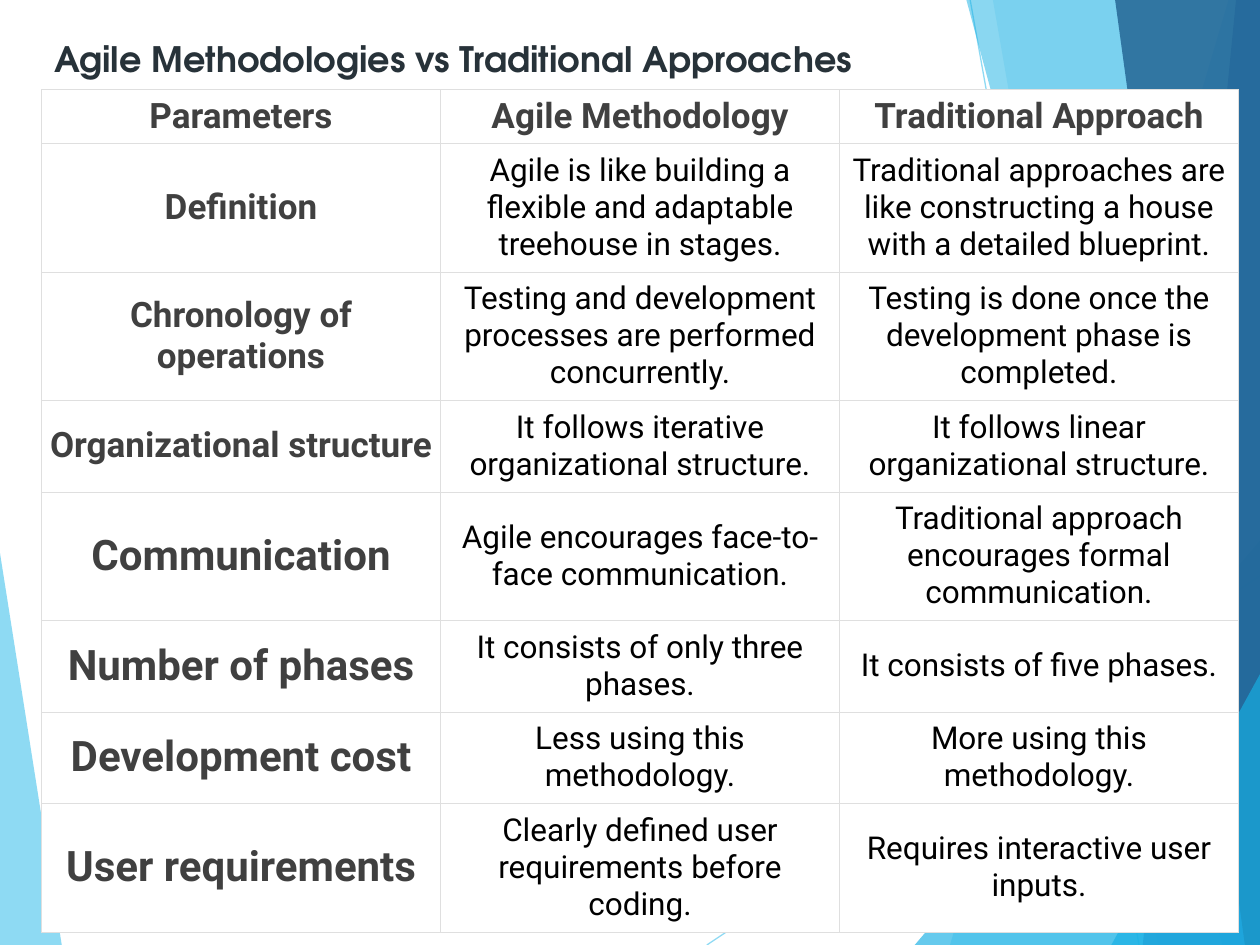
from lxml import etree
from pptx import Presentation
from pptx.dml.color import RGBColor
from pptx.enum.shapes import MSO_CONNECTOR
from pptx.enum.text import MSO_ANCHOR, PP_ALIGN
from pptx.oxml.ns import qn
from pptx.util import Inches, Pt

LINE = MSO_CONNECTOR.STRAIGHT
MIDDLE = MSO_ANCHOR.MIDDLE
TOP = MSO_ANCHOR.TOP
LEFT = PP_ALIGN.LEFT
CENTER = PP_ALIGN.CENTER

COLORS = {
    "sky": "5FCBEF", "cyan": "17B0E4", "blue": "2E83C3", "navy": "226292",
    "white": "FFFFFF", "rule": "DFDFDF", "title": "273239",
    "label": "404040", "body": "000000",
}

# Colour, opacity in percent, corner points in inches
LEFT_FACET = ("sky", 70, [(0, 4.39), (0.49, 7.5), (0, 7.5)])
RIGHT_FACETS = [
    ("sky", 36, [(9.75, 0), (7.54, 7.5), (10, 7.5), (10, 0)]),
    ("sky", 20, [(7.88, 0), (9.19, 7.5), (10, 7.5), (10, 0)]),
    ("cyan", 66, [(7.26, 7.5), (10, 4.29), (10, 7.5)]),
    ("cyan", 50, [(7.67, 0), (9.7, 7.5), (10, 7.5), (10, 0)]),
    ("blue", 70, [(9.81, 0), (9.07, 7.5), (10, 7.5), (10, 0)]),
    ("navy", 82, [(8.85, 0), (9.88, 7.5), (10, 7.5), (10, 0)]),
    ("cyan", 66, [(8.82, 7.5), (10, 5.35), (10, 7.5)]),
]
RAYS = [((5.61, 7.5), (10, 4.57)), ((7.7, 0), (9.04, 7.5))]

HEADS = ["Parameters", "Agile Methodology", "Traditional Approach"]
# Row height, label size, label, agile text, traditional text
ROWS = [
    (0.99, 20, "Definition",
     "Agile is like building a flexible and adaptable treehouse in stages.",
     "Traditional approaches are like constructing a house with a detailed blueprint."),
    (0.99, 20, "Chronology of operations",
     "Testing and development processes are performed concurrently.",
     "Testing is done once the development phase is completed."),
    (0.71, 20, "Organizational structure",
     "It follows iterative organizational structure.",
     "It follows linear organizational structure."),
    (0.99, 24, "Communication",
     "Agile encourages face-to-face communication.",
     "Traditional approach encourages formal communication."),
    (0.71, 24, "Number of phases",
     "It consists of only three phases.",
     "It consists of five phases."),
    (0.71, 24, "Development cost",
     "Less using this methodology.",
     "More using this methodology."),
    (0.99, 24, "User requirements",
     "Clearly defined user requirements before coding.",
     "Requires interactive user inputs."),
]


def color(name):
    return RGBColor.from_string(COLORS[name])


def fade(shape, percent):
    """Set the opacity of the shape's own colours."""
    for node in shape.element.iter(qn("a:srgbClr")):
        etree.SubElement(node, qn("a:alpha"), val=str(percent * 1000))


def write(frame, text, size=18, tint="body", bold=False, font="Roboto", align=CENTER):
    para = frame.paragraphs[0]
    para.alignment = align
    run = para.add_run()
    run.text = text
    run.font.name = font
    run.font.size = Pt(size)
    run.font.bold = bold
    run.font.color.rgb = color(tint)


class Deck:
    """Holds the style and the current slide."""

    def __init__(self, slide, font="Roboto", head="TeX Gyre Adventor"):
        self.slide = slide
        self.font = font
        self.head = head

    def title(self, text, left, top, width, height):
        box = self.slide.shapes.title
        box.left, box.top = Inches(left), Inches(top)
        box.width, box.height = Inches(width), Inches(height)
        frame = box.text_frame
        frame.word_wrap = True
        frame.vertical_anchor = TOP
        write(frame, text, size=20, tint="title", bold=True, font=self.head, align=LEFT)

    def facet(self, tint, percent, points):
        start, *rest = [(Inches(x), Inches(y)) for x, y in points]
        build = self.slide.shapes.build_freeform(*start)
        build.add_line_segments(rest, close=True)
        shape = build.convert_to_shape()
        shape.shadow.inherit = False
        shape.fill.solid()
        shape.fill.fore_color.rgb = color(tint)
        shape.line.fill.background()
        fade(shape, percent)

    def ray(self, start, end):
        ends = [Inches(v) for v in (*start, *end)]
        line = self.slide.shapes.add_connector(LINE, *ends)
        line.line.color.rgb = color("sky")
        line.line.width = Pt(0.75)
        fade(line, 70)
        etree.SubElement(line.element.spPr, qn("a:effectLst"))

    def cell(self, cell, text, pad, **style):
        """Fill one table cell; pad is its side and its top inset."""
        side, edge = map(Inches, pad)
        cell.margin_left = cell.margin_right = side
        cell.margin_top = cell.margin_bottom = edge
        cell.vertical_anchor = MIDDLE
        cell.fill.solid()
        cell.fill.fore_color.rgb = color("white")
        props = cell._tc.get_or_add_tcPr()
        for spot, name in enumerate(("a:lnL", "a:lnR", "a:lnT", "a:lnB")):
            rule = etree.Element(qn(name), w=str(Pt(0.15)))
            paint = etree.SubElement(rule, qn("a:solidFill"))
            etree.SubElement(paint, qn("a:srgbClr"), val=COLORS["rule"])
            props.insert(spot, rule)
        write(cell.text_frame, text, font=self.font, **style)

    def table(self, left, top, width, heads, rows, first=0.41):
        tall = [first] + [row[0] for row in rows]
        grid = self.slide.shapes.add_table(
            len(tall), len(heads), Inches(left), Inches(top),
            Inches(width), Inches(sum(tall))).table
        grid.first_row = grid.horz_banding = False
        for line, height in zip(grid.rows, tall):
            line.height = Inches(height)
        for c, text in enumerate(heads):
            side = 0.05 if c else 0.03
            self.cell(grid.cell(0, c), text, (side, 0.05), size=20, tint="label", bold=True)
        for r, (_, size, label, *texts) in enumerate(rows, 1):
            self.cell(grid.cell(r, 0), label, (0.03, 0.03), size=size, tint="label", bold=True)
            for c, text in enumerate(texts, 1):
                self.cell(grid.cell(r, c), text, (0.05, 0.07))


def main():
    prs = Presentation()
    prs.slide_width, prs.slide_height = Inches(10), Inches(7.5)
    deck = Deck(prs.slides.add_slide(prs.slide_layouts[5]))
    deck.facet(*LEFT_FACET)
    for ray in RAYS:
        deck.ray(*ray)
    for facet in RIGHT_FACETS:
        deck.facet(*facet)
    deck.title("Agile Methodologies vs Traditional Approaches", 0.33, 0.25, 6.75, 0.44)
    deck.table(0.33, 0.71, 9.5, HEADS, ROWS)
    prs.save("out.pptx")


if __name__ == "__main__":
    main()
